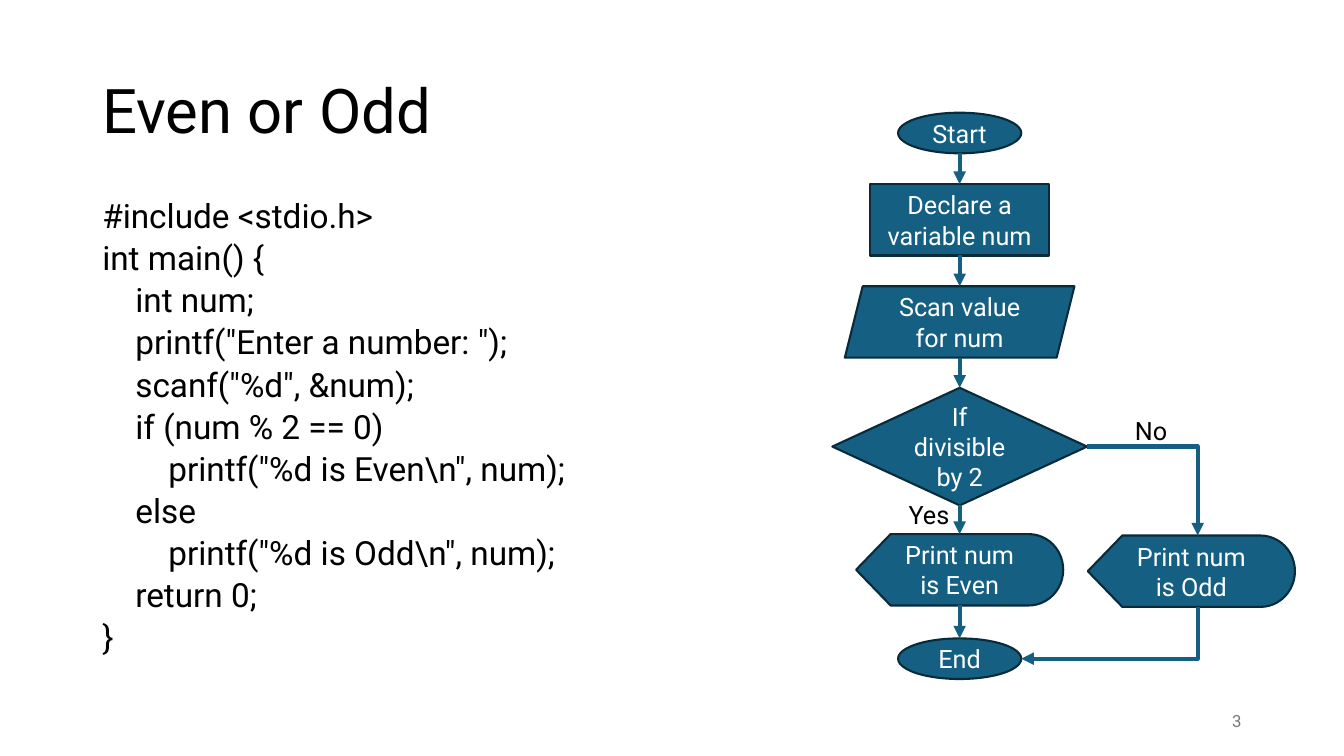
from dataclasses import dataclass

from pptx import Presentation
from pptx.dml.color import RGBColor
from pptx.enum.shapes import MSO_CONNECTOR, MSO_SHAPE
from pptx.enum.text import MSO_ANCHOR, PP_ALIGN
from pptx.oxml.ns import qn
from pptx.util import Pt
from lxml.etree import SubElement


@dataclass(frozen=True)
class Theme:
    font: str = "Roboto"
    ink: str = "000000"
    muted: str = "797979"
    fill: str = "156082"
    edge: str = "092A39"
    light: str = "FFFFFF"
    title: float = 44
    code: float = 23.8
    body: float = 18
    small: float = 12


T = Theme()
MAIN_X, BRANCH_X, ODD_X = 685.5, 855.5, 851

CODE = r'''#include <stdio.h>
int main() {
    int num;
    printf("Enter a number: ");
    scanf("%d", &num);
    if (num % 2 == 0)
        printf("%d is Even\n", num);
    else
        printf("%d is Odd\n", num);
    return 0;
}'''

NODES = {
    "start": (MSO_SHAPE.OVAL, MAIN_X, 80.5, 88, 29, "Start"),
    "declare": (MSO_SHAPE.RECTANGLE, MAIN_X, 131.5, 128, 51, "Declare a variable num"),
    "scan": (MSO_SHAPE.PARALLELOGRAM, MAIN_X, 204.5, 164, 51, "Scan value for num"),
    "test": (MSO_SHAPE.DIAMOND, MAIN_X, 277, 182, 84, "If divisible by 2"),
    "even": (MSO_SHAPE.FLOWCHART_DISPLAY, MAIN_X, 381.5, 148, 51, "Print num is Even"),
    "odd": (MSO_SHAPE.FLOWCHART_DISPLAY, ODD_X, 382.5, 148, 51, "Print num is Odd"),
    "end": (MSO_SHAPE.OVAL, MAIN_X, 456, 88, 29, "End"),
}


def apply(obj, formats):
    for name, value in formats.items():
        setattr(obj, name, value)


def write(tf, text, size, color, **para):
    tf.word_wrap = True
    for i, line in enumerate(text.split("\n")):
        p = tf.paragraphs[0] if i == 0 else tf.add_paragraph()
        apply(p, para)
        if i == 0:
            p.space_before = Pt(0)
        r = p.add_run()
        r.text = line
        apply(r.font, {"name": T.font, "size": Pt(size)})
        r.font.color.rgb = RGBColor.from_string(color)


def add_text(s, box, text, size, color, anchor=MSO_ANCHOR.TOP, **para):
    tf = s.shapes.add_textbox(*map(Pt, box)).text_frame
    tf.vertical_anchor = anchor
    write(tf, text, size, color, **para)


def add_node(s, kind, center, top, width, height, text):
    sp = s.shapes.add_shape(kind, Pt(center - width / 2), Pt(top), Pt(width), Pt(height))
    sp.shadow.inherit = False
    sp.fill.solid()
    sp.fill.fore_color.rgb = RGBColor.from_string(T.fill)
    sp.line.color.rgb = RGBColor.from_string(T.edge)
    sp.line.width = Pt(1.5)
    sp.text_frame.vertical_anchor = MSO_ANCHOR.MIDDLE
    write(sp.text_frame, text, T.body, T.light, alignment=PP_ALIGN.CENTER)
    return sp


def add_arrow(s, kind, *ends):
    c = s.shapes.add_connector(kind, *map(Pt, ends))
    c.line.color.rgb = RGBColor.from_string(T.fill)
    c.line.width = Pt(3)
    SubElement(c.line._get_or_add_ln(), qn("a:tailEnd"), type="triangle")
    SubElement(c._element.spPr, qn("a:effectLst"))
    return c


def add_step(s, above, below):
    c = add_arrow(s, MSO_CONNECTOR.STRAIGHT, MAIN_X, (above.top + above.height) / Pt(1),
                  MAIN_X, below.top / Pt(1))
    joinable = (MSO_SHAPE.RECTANGLE, MSO_SHAPE.DIAMOND)
    if above.auto_shape_type in joinable:
        c.begin_connect(above, 2)
    if below.auto_shape_type in joinable:
        c.end_connect(below, 0)


def add_bend(s, x1, y1, x2, y2, down_first=False):
    if down_first:
        cx, cy = (x1 + x2) / 2, (y1 + y2) / 2
        dx, dy = abs(x2 - x1) / 2, abs(y2 - y1) / 2
        x1, y1, x2, y2 = cx - dy, cy - dx, cx + dy, cy + dx
    c = add_arrow(s, MSO_CONNECTOR.ELBOW, x1, y1, x2, y2)
    spPr = c._element.spPr
    spPr.find(qn("a:prstGeom")).set("prst", "bentConnector2")
    if down_first:
        spPr.find(qn("a:xfrm")).set("rot", "5400000")


def main():
    prs = Presentation()
    apply(prs, {"slide_width": Pt(960), "slide_height": Pt(540)})
    s = prs.slides.add_slide(prs.slide_layouts[6])

    add_text(s, (66, 28.8, 828, 104.4), "Even or Odd", T.title, T.ink,
             MSO_ANCHOR.MIDDLE, line_spacing=0.9)
    add_text(s, (66, 144, 408, 342.7), CODE, T.code, T.ink,
             line_spacing=0.7, space_before=Pt(10))
    add_text(s, (678, 500.5, 216, 28.8), "3", T.small, T.muted,
             MSO_ANCHOR.MIDDLE, alignment=PP_ALIGN.RIGHT)

    nodes = {name: add_node(s, *node) for name, node in NODES.items()}
    column = [nodes[n] for n in ("start", "declare", "scan", "test", "even", "end")]
    for above, below in zip(column, column[1:]):
        add_step(s, above, below)
    add_bend(s, 776.5, 319, BRANCH_X, 382.5)
    add_bend(s, BRANCH_X, 433.5, 729.5, 470.5, down_first=True)

    add_text(s, (803.5, 293, 39.6, 29), "No", T.body, T.ink)
    add_text(s, (642, 352.8, 44, 29), "Yes", T.body, T.ink)
    prs.save("out.pptx")


if __name__ == "__main__":
    main()
